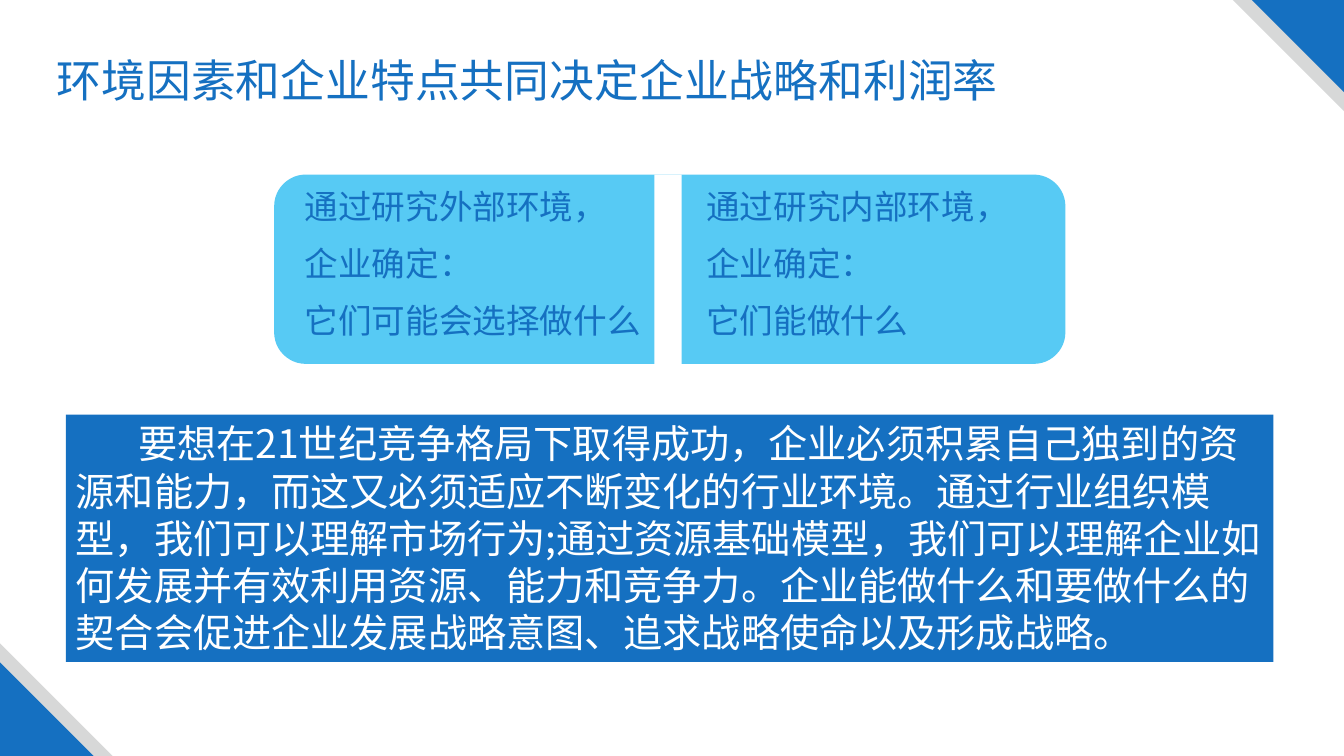
import pptx
import pptx.util
import pptx.dml.color
import pptx.enum.shapes
import pptx.enum.text
import pptx.oxml

Cm, Pt = pptx.util.Cm, pptx.util.Pt
Kind = pptx.enum.shapes.MSO_SHAPE

# Content
TITLE = "环境因素和企业特点共同决定企业战略和利润率"
EXTERNAL = ["通过研究外部环境，", "企业确定：", "它们可能会选择做什么"]
INTERNAL = ["通过研究内部环境，", "企业确定：", "它们能做什么"]
SUMMARY = (
    "要想在21世纪竞争格局下取得成功，企业必须积累自己独到的资源和能力，"
    "而这又必须适应不断变化的行业环境。通过行业组织模型，我们可以理解市场行为;"
    "通过资源基础模型，我们可以理解企业如何发展并有效利用资源、能力和竞争力。"
    "企业能做什么和要做什么的契合会促进企业发展战略意图、追求战略使命以及形成战略。"
)

# Look
FONT = "Noto Sans CJK SC"
BLUE, SKY, GREY, WHITE = "1570C1", "57CAF4", "D7D8D8", "FFFFFF"
WIDTH, HEIGHT = 33.87, 19.05
LINE_RATIO = 1.2
DRAWING = "http://schemas.openxmlformats.org/drawingml/2006/main"

deck = pptx.Presentation()
deck.slide_width, deck.slide_height = Cm(WIDTH), Cm(HEIGHT)
page = deck.slides.add_slide(deck.slide_layouts[6])


def color(code):
    return pptx.dml.color.RGBColor.from_string(code)


def add_block(kind, left, top, width, height, fill):
    block = page.shapes.add_shape(kind, Cm(left), Cm(top), Cm(width), Cm(height))
    block.shadow.inherit = False
    block.fill.solid()
    block.fill.fore_color.rgb = color(fill)
    block.line.fill.background()
    return block


def add_text_box(left, top, width, height):
    return page.shapes.add_textbox(Cm(left), Cm(top), Cm(width), Cm(height))


def write(box, lines, size, ink, gap=0, indent=0):
    frame = box.text_frame
    frame.word_wrap = True
    frame.margin_top = Cm(0.13)
    frame.vertical_anchor = pptx.enum.text.MSO_ANCHOR.TOP
    frame.text = "\n".join(lines)
    for index, para in enumerate(frame.paragraphs):
        para.alignment = pptx.enum.text.PP_ALIGN.LEFT
        para.line_spacing = Pt(size * LINE_RATIO)
        if index:
            para.space_before = Pt(gap)
        # Keep punctuation inside the margins
        settings = para._p.get_or_add_pPr()
        settings.set("hangingPunct", "0")
        if indent:
            settings.set("indent", str(Cm(indent)))
        for span in para.runs:
            span.font.size = Pt(size)
            span.font.name = FONT
            span.font.color.rgb = color(ink)
            east_asian = pptx.oxml.parse_xml(
                f'<a:ea xmlns:a="{DRAWING}" typeface="{FONT}"/>')
            span.font._element.find(f"{{{DRAWING}}}latin").addnext(east_asian)


# Corner triangles: grey behind, blue in front
for side, fill in ((2.8, GREY), (2.32, BLUE)):
    top_corner = add_block(Kind.RIGHT_TRIANGLE, WIDTH - side, 0, side, side, fill)
    top_corner.rotation = 180
for side, fill in ((2.84, GREY), (2.36, BLUE)):
    add_block(Kind.RIGHT_TRIANGLE, 0, HEIGHT - side, side, side, fill)

# Title
write(add_text_box(1.18, 1.19, 26.7, 1.63), [TITLE], 32, BLUE)

# Summary panel
summary = add_block(Kind.RECTANGLE, 1.66, 10.45, 30.43, 6.23, BLUE)
write(summary, [SUMMARY], 28, WHITE, indent=1.57)

# Rounded card split by a white divider
card_top, card_height = 4.4, 4.77
card = add_block(Kind.ROUNDED_RECTANGLE, 6.91, card_top, 19.94, card_height, SKY)
card.adjustments[0] = 0.167
add_block(Kind.RECTANGLE, 16.49, card_top, 0.69, card_height, WHITE)
for left, width, lines in ((7.43, 9.58, EXTERNAL), (17.55, 8.81, INTERNAL)):
    write(add_text_box(left, 4.55, width, 4.37), lines, 24, BLUE, gap=12)

deck.save("out.pptx")
